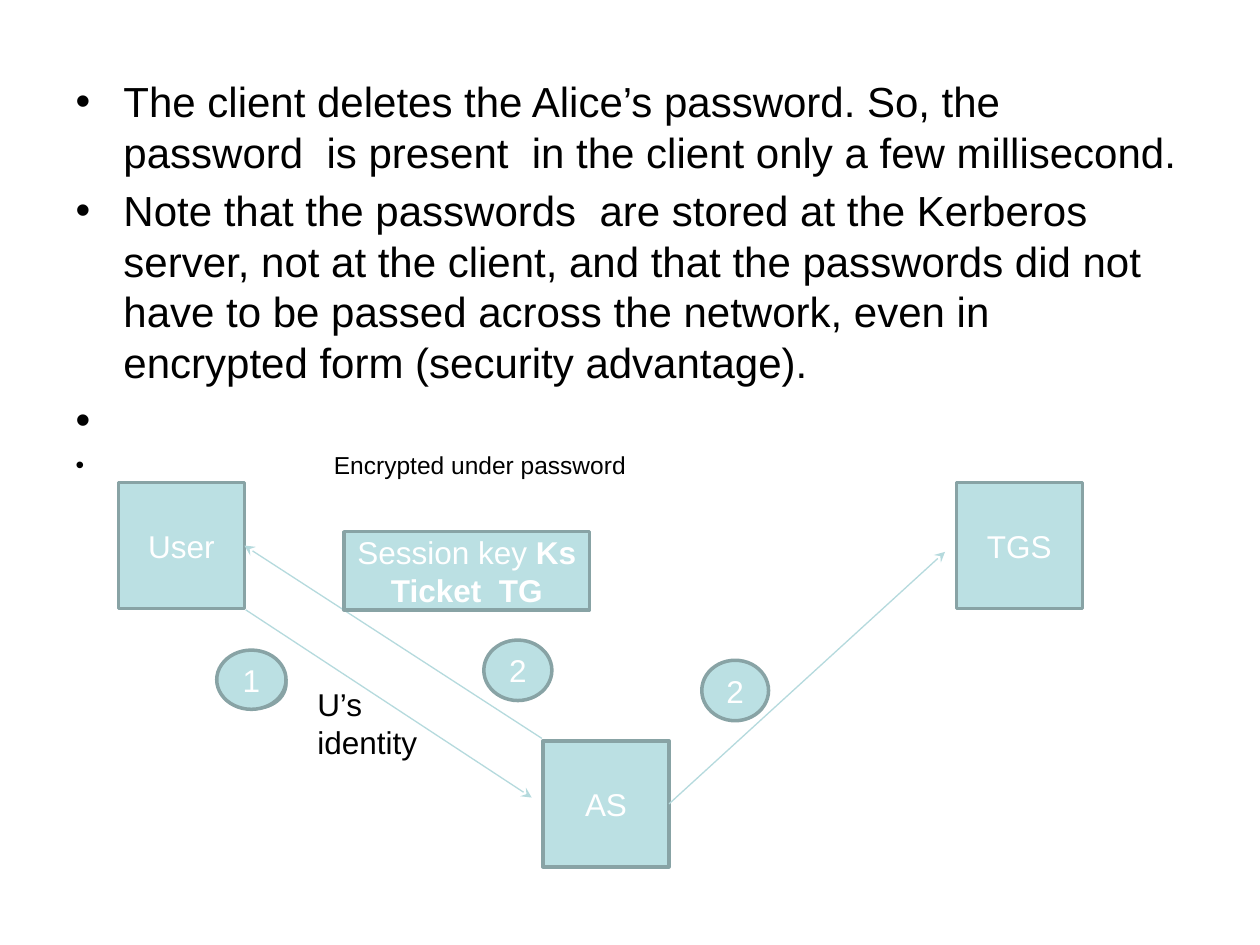
from lxml import etree
from pptx import Presentation
from pptx.dml.color import RGBColor
from pptx.enum.shapes import MSO_CONNECTOR as CONN, MSO_SHAPE as SHAPE
from pptx.enum.text import MSO_ANCHOR as ANCHOR, MSO_AUTO_SIZE as AUTO, PP_ALIGN as ALIGN
from pptx.oxml.ns import qn
from pptx.util import Inches, Pt

FILL, EDGE, ARROW, BLACK, WHITE = "BBE0E3", "88A3A5", "B5DADD", "000000", "FFFFFF"
USER, TGS, AS = (0.94, 3.83, 1, 1), (7.59, 3.83, 1, 1), (4.31, 5.88, 1, 1)
BULLETS = [
    ("The client deletes the Alice’s password. So, the password  is present  "
     "in the client only a few millisecond.", 24, 0),
    ("Note that the passwords  are stored at the Kerberos server, not at the client, "
     "and that the passwords did not have to be passed across the network, "
     "even in encrypted form (security advantage).", 24, 4.8),
    (" ", 24, 4.8),
    ("\tEncrypted under password", 14, 2.8),
]


def rgb(color):
    return RGBColor.from_string(color)


def inches(box):
    return [Inches(v) for v in box]


def add_run(p, text, color, size=18, bold=False):
    r = p.add_run()
    r.text = text
    for name, value in {"name": "Arial", "size": Pt(size), "bold": bold}.items():
        setattr(r.font, name, value)
    r.font.color.rgb = rgb(color)


def set_bullet(p, tab):
    pPr = p._p.get_or_add_pPr()
    pPr.set("marL", str(Inches(0.38)))
    pPr.set("indent", str(Inches(-0.38)))
    clr = etree.SubElement(pPr, qn("a:buClr"))
    etree.SubElement(clr, qn("a:srgbClr"), val=BLACK)
    etree.SubElement(pPr, qn("a:buFont"), typeface="Arial")
    etree.SubElement(pPr, qn("a:buChar"), char="•")
    if tab:
        tabs = etree.SubElement(pPr, qn("a:tabLst"))
        etree.SubElement(tabs, qn("a:tab"), pos=str(Inches(tab)), algn="l")


def add_body(s, box):
    s.shapes.title.element.getparent().remove(s.shapes.title.element)
    sp = s.placeholders[1]
    sp.left, sp.top, sp.width, sp.height = inches(box)
    tf = sp.text_frame
    tf.auto_size = AUTO.NONE
    for i, (text, size, before) in enumerate(BULLETS):
        p = tf.paragraphs[0] if i == 0 else tf.add_paragraph()
        set_bullet(p, 2.05 if text.startswith("\t") else None)
        p.space_before = Pt(before)
        add_run(p, text, BLACK, size)


def add_node(s, box, lines, kind=SHAPE.RECTANGLE):
    sp = s.shapes.add_shape(kind, *inches(box))
    sp.shadow.inherit = False
    sp.fill.solid()
    sp.fill.fore_color.rgb = rgb(FILL)
    sp.line.color.rgb = rgb(EDGE)
    sp.line.width = Pt(2)
    tf = sp.text_frame
    tf.vertical_anchor = ANCHOR.MIDDLE
    for i, runs in enumerate(lines):
        p = tf.paragraphs[0] if i == 0 else tf.add_paragraph()
        p.alignment = ALIGN.CENTER
        for text, bold in runs:
            add_run(p, text, WHITE, bold=bold)
    return sp


def add_step(s, box, number):
    add_node(s, box, [[(number, False)]] if number else [], SHAPE.OVAL)


def add_label(s, box, lines):
    tf = s.shapes.add_textbox(*inches(box)).text_frame
    tf.word_wrap = True
    for i, text in enumerate(lines):
        p = tf.paragraphs[0] if i == 0 else tf.add_paragraph()
        add_run(p, text, BLACK)


def add_arrow(s, start, end):
    c = s.shapes.add_connector(CONN.STRAIGHT, *inches(start + end))
    c.line.color.rgb = rgb(ARROW)
    c.line.width = Pt(0.75)
    etree.SubElement(c.line._get_or_add_ln(), qn("a:tailEnd"), type="stealth")
    etree.SubElement(c._element.spPr, qn("a:effectLst"))
    return c


def add_exchange(s):
    user, _, server = [add_node(s, box, [[(name, False)]])
                       for box, name in ((USER, "User"), (TGS, "TGS"), (AS, "AS"))]
    add_label(s, (2.42, 5.39, 1, 0.71), ["U’s", "identity"])
    for box, number in (((1.8, 5.23, 0.47, 0.39), ""), ((1.72, 5.16, 0.55, 0.47), "1"),
                        ((3.84, 5.08, 0.54, 0.48), "2")):
        add_step(s, box, number)
    add_arrow(s, (1.95, 4.84), (4.22, 6.33))
    add_arrow(s, (4.3, 5.86), (1.94, 4.33)).end_connect(user, 3)
    add_node(s, (2.73, 4.22, 1.95, 0.62),
             [[("Session key ", False), ("Ks", True)], [("Ticket  TG", True)]])
    add_arrow(s, (5.31, 6.38), (7.5, 4.38)).begin_connect(server, 3)
    add_step(s, (5.57, 5.24, 0.53, 0.48), "2")


def main():
    prs = Presentation()
    prs.slide_width, prs.slide_height = Inches(10), Inches(7.5)
    s = prs.slides.add_slide(prs.slide_layouts[1])
    add_body(s, (0.5, 0.55, 9, 6.33))
    add_exchange(s)
    prs.save("out.pptx")


if __name__ == "__main__":
    main()
